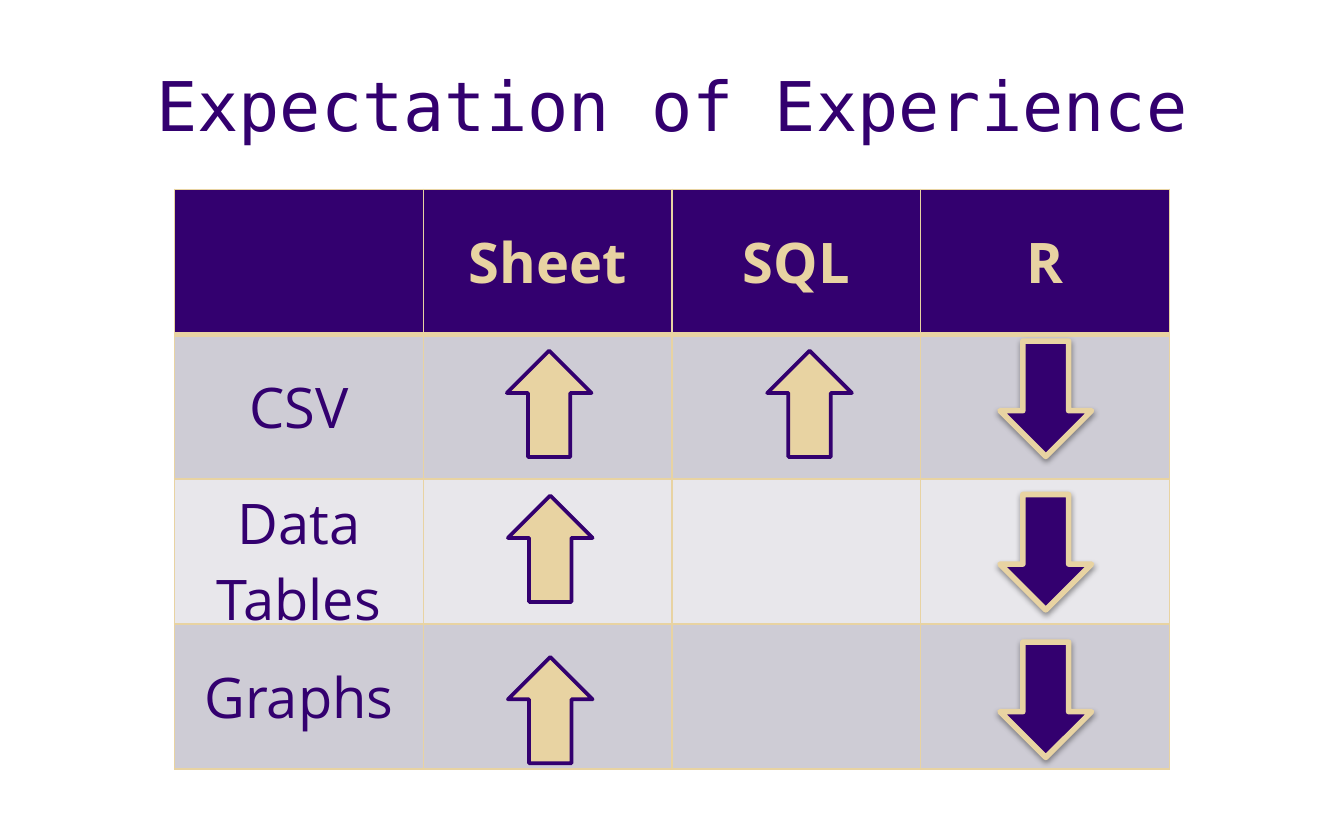
from lxml.etree import SubElement
from pptx import Presentation
from pptx.dml.color import RGBColor
from pptx.enum.shapes import MSO_SHAPE
from pptx.enum.text import MSO_ANCHOR, PP_ALIGN
from pptx.oxml.ns import qn
from pptx.util import Cm, Pt

PURPLE, GOLD = "33006F", "E8D3A2"
BANDS = ("CECCD5", "E8E7EB")
ROWS = [
    ["", "Sheet", "SQL", "R"],
    ["CSV", "", "", ""],
    ["Data Tables", "", "", ""],
    ["Graphs", "", "", ""],
]
COL_W, ROW_H = 4.7, 2.74

# Arrow left and top in cm from the table's corner
UP_ARROWS = [(6.28, 3.05), (11.2, 3.05), (6.3, 5.79), (6.3, 8.84)]
DOWN_ARROWS = [(15.6, 2.87), (15.6, 5.77), (15.6, 8.56)]


def rgb(color):
    return RGBColor.from_string(color)


def style_text(p, text, font, size, color, bold=False):
    p.text = text
    p.alignment = PP_ALIGN.CENTER
    p.font.name = font
    p.font.size = Pt(size)
    p.font.bold = bold
    p.font.color.rgb = rgb(color)


def add_title(slide, x, y, w, h):
    tf = slide.shapes.add_textbox(Cm(x), Cm(y), Cm(w), Cm(h)).text_frame
    tf.word_wrap = True
    tf.vertical_anchor = MSO_ANCHOR.MIDDLE
    style_text(tf.paragraphs[0], "Expectation of Experience",
               "DejaVu Sans Mono", 36.7, PURPLE)


def set_borders(cell, widths):
    """Draw gold borders; widths maps a side (L, R, T, B) to points."""
    tc_pr = cell._tc.get_or_add_tcPr()
    for side, width in widths.items():
        ln = SubElement(tc_pr, qn(f"a:ln{side}"), w=str(Pt(width)))
        fill = SubElement(ln, qn("a:solidFill"))
        SubElement(fill, qn("a:srgbClr"), val=GOLD)


def add_grid(slide, x, y):
    n_rows, n_cols = len(ROWS), len(ROWS[0])
    table = slide.shapes.add_table(n_rows, n_cols, Cm(x), Cm(y),
                                   Cm(COL_W * n_cols), Cm(ROW_H * n_rows)).table
    table.first_row = table.horz_banding = False
    for col in table.columns:
        col.width = Cm(COL_W)
    for i, row in enumerate(ROWS):
        header = i == 0
        table.rows[i].height = Cm(ROW_H)
        for j, text in enumerate(row):
            cell = table.cell(i, j)
            cell.vertical_anchor = MSO_ANCHOR.MIDDLE
            cell.margin_left = cell.margin_right = Cm(0.2)
            cell.margin_top = cell.margin_bottom = Cm(0.1)
            set_borders(cell, {"L": 1, "R": 1, "T": 3 if i == 1 else 1,
                               "B": 3 if header else 1})
            cell.fill.solid()
            cell.fill.fore_color.rgb = rgb(PURPLE if header else BANDS[(i - 1) % 2])
            style_text(cell.text_frame.paragraphs[0], text, "Open Sans", 30,
                       GOLD if header else PURPLE, header)


def add_arrow(slide, preset, x, y, w, h, fill, line, line_width):
    sp = slide.shapes.add_shape(preset, Cm(x), Cm(y), Cm(w), Cm(h))
    sp.shadow.inherit = False
    sp.fill.solid()
    sp.fill.fore_color.rgb = rgb(fill)
    sp.line.color.rgb = rgb(line)
    sp.line.width = Pt(line_width)
    return sp


def add_drop_shadow(sp):
    effects = sp._element.spPr.find(qn("a:effectLst"))
    shadow = SubElement(effects, qn("a:outerShdw"), blurRad=str(Pt(3.1)),
                        dist=str(Pt(1.6)), dir="5400000", rotWithShape="0")
    color = SubElement(shadow, qn("a:srgbClr"), val="000000")
    SubElement(color, qn("a:alpha"), val="38000")


def add_arrows(slide, x, y):
    for dx, dy in UP_ARROWS:
        add_arrow(slide, MSO_SHAPE.UP_ARROW, x + dx, y + dy, 1.6, 2.01,
                  GOLD, PURPLE, 2)
    for dx, dy in DOWN_ARROWS:
        sp = add_arrow(slide, MSO_SHAPE.DOWN_ARROW, x + dx, y + dy, 1.73, 2.18,
                       PURPLE, GOLD, 3)
        add_drop_shadow(sp)


def main():
    prs = Presentation()
    prs.slide_width, prs.slide_height = Cm(25.4), Cm(15.88)
    slide = prs.slides.add_slide(prs.slide_layouts[6])
    add_title(slide, 2.12, 0.58, 21.16, 2.77)
    add_grid(slide, 3.3, 3.58)
    add_arrows(slide, 3.3, 3.58)
    prs.save("out.pptx")


if __name__ == "__main__":
    main()
